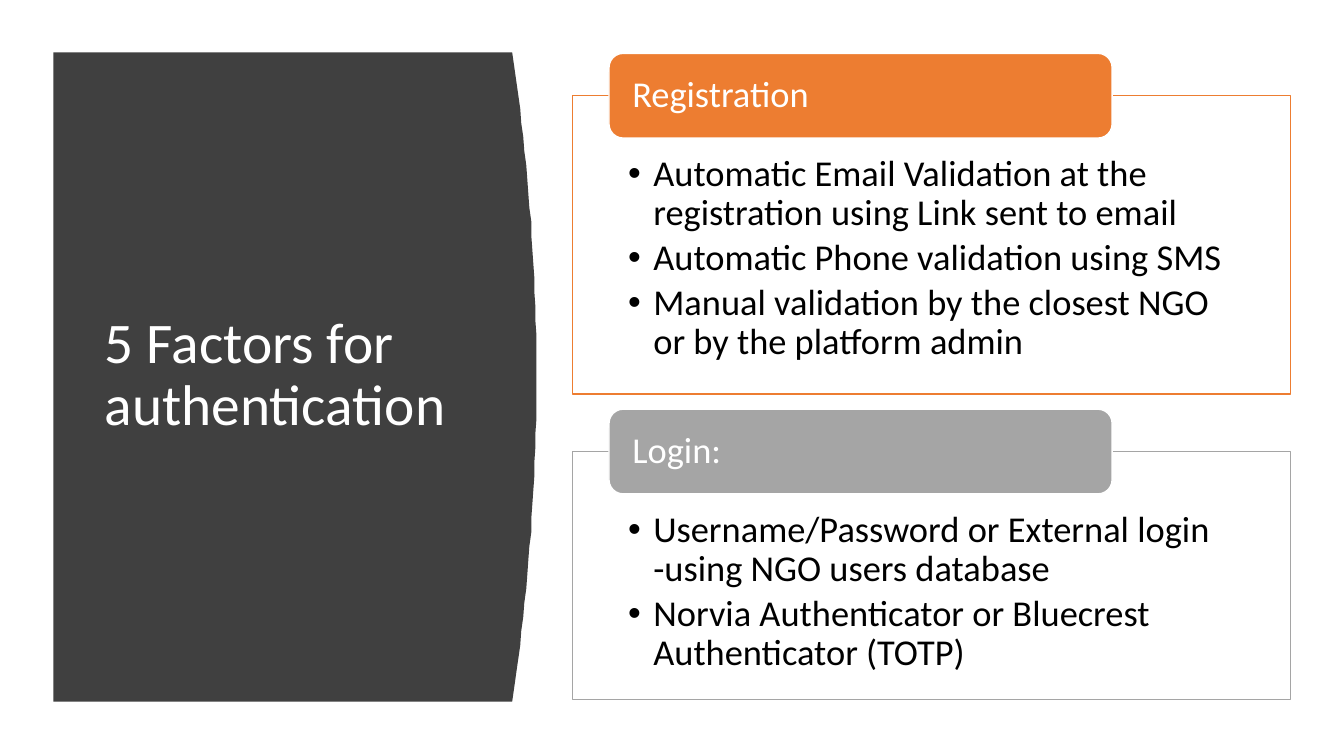
import dataclasses

import pptx
import pptx.dml.color
import pptx.enum.shapes
import pptx.enum.text
import pptx.oxml
import pptx.oxml.ns
import pptx.util

PX = 9144  # EMU per px, 100 px to the inch
FONT = "Calibri"
COLORS = {
    "panel": "404040",
    "orange": "ED7D31",
    "gray": "A5A5A5",
    "white": "FFFFFF",
    "black": "000000",
}
SHAPE = pptx.enum.shapes.MSO_SHAPE
ANCHOR = pptx.enum.text.MSO_ANCHOR


@dataclasses.dataclass
class Section:
    heading: str
    color: str
    top: int
    height: int
    bullets: list[str]


SECTIONS = [
    Section("Registration", "orange", 95, 296, [
        "Automatic Email Validation at the registration using Link sent to email",
        "Automatic Phone validation using SMS",
        "Manual validation by the closest NGO or by the platform admin",
    ]),
    Section("Login:", "gray", 448, 246, [
        "Username/Password or External login -using NGO users database",
        "Norvia Authenticator or Bluecrest Authenticator (TOTP)",
    ]),
]


def px(n: int) -> pptx.util.Emu:
    return pptx.util.Emu(n * PX)


def rgb(name: str) -> pptx.dml.color.RGBColor:
    return pptx.dml.color.RGBColor.from_string(COLORS[name])


def write(sp, lines: list[str], *, size: int, color: str, anchor=ANCHOR.MIDDLE,
          insets=(10, 5, 10, 5), after: int = 0, bullet: bool = False) -> None:
    """Fill a shape with left-aligned paragraphs."""
    tf = sp.text_frame
    tf.word_wrap = True
    tf.auto_size = pptx.enum.text.MSO_AUTO_SIZE.NONE
    tf.vertical_anchor = anchor
    tf.margin_left, tf.margin_top, tf.margin_right, tf.margin_bottom = map(px, insets)
    for i, line in enumerate(lines):
        p = tf.paragraphs[0] if i == 0 else tf.add_paragraph()
        p.alignment = pptx.enum.text.PP_ALIGN.LEFT
        p.line_spacing = 0.9
        p.space_before = pptx.util.Pt(0)
        p.space_after = pptx.util.Pt(after)
        r = p.add_run()
        r.text = line
        r.font.name = FONT
        r.font.size = pptx.util.Pt(size)
        r.font.color.rgb = rgb(color)
        if bullet:
            pPr = p._p.get_or_add_pPr()
            pPr.set("marL", str(px(25)))
            pPr.set("indent", str(px(-25)))
            ns = pptx.oxml.ns.nsdecls("a")
            pPr.append(pptx.oxml.parse_xml(f'<a:buFont {ns} typeface="Arial"/>'))
            pPr.append(pptx.oxml.parse_xml(f'<a:buChar {ns} char="•"/>'))


def add_box(s, kind, left: int, top: int, width: int, height: int,
            fill: str, line: str):
    sp = s.shapes.add_shape(kind, px(left), px(top), px(width), px(height))
    sp.shadow.inherit = False
    sp.fill.solid()
    sp.fill.fore_color.rgb = rgb(fill)
    sp.line.color.rgb = rgb(line)
    sp.line.width = pptx.util.Pt(1)
    return sp


def add_panel(s):
    """Dark panel whose right side bulges as a parabola."""
    left, top, bottom, edge, bulge = 53, 52, 696, 508, 24
    mid, half = (top + bottom) / 2, (bottom - top) / 2
    curve = [(edge + bulge * (1 - ((y - mid) / half) ** 2), y)
             for y in range(top, bottom + 1, 14)]
    fb = s.shapes.build_freeform(left, top, scale=PX)
    fb.add_line_segments(curve + [(left, bottom)], close=True)
    sp = fb.convert_to_shape()
    sp.shadow.inherit = False
    sp.fill.solid()
    sp.fill.fore_color.rgb = rgb("panel")
    sp.line.fill.background()
    return sp


def add_section(s, section: Section) -> None:
    # Frame with bullets
    frame = add_box(s, SHAPE.RECTANGLE, 568, section.top, 712, section.height,
                    "white", section.color)
    clr = frame.element.spPr.find(pptx.oxml.ns.qn("a:solidFill"))[0]
    clr.append(pptx.oxml.parse_xml(
        f'<a:alpha {pptx.oxml.ns.nsdecls("a")} val="90000"/>'))
    write(frame, section.bullets, size=26, color="black", anchor=ANCHOR.TOP,
          insets=(55, 59, 55, 20), after=4, bullet=True)
    # Heading tab centred on the frame's top edge
    tab = add_box(s, SHAPE.ROUNDED_RECTANGLE, 604, section.top - 42, 499, 84,
                  section.color, "white")
    write(tab, [section.heading], size=26, color="white", insets=(19, 0, 19, 0))


def main() -> None:
    prs = pptx.Presentation()
    prs.slide_width, prs.slide_height = px(1333), px(750)
    s = prs.slides.add_slide(prs.slide_layouts[5])

    # Title on the dark panel
    panel = add_panel(s)
    title = s.shapes.title
    title.left, title.top, title.width, title.height = map(px, (94, 111, 374, 524))
    write(title, ["5 Factors for authentication"], size=41, color="white")
    panel.element.addnext(title.element)

    # Sections
    for section in SECTIONS:
        add_section(s, section)

    prs.save("out.pptx")


if __name__ == "__main__":
    main()
